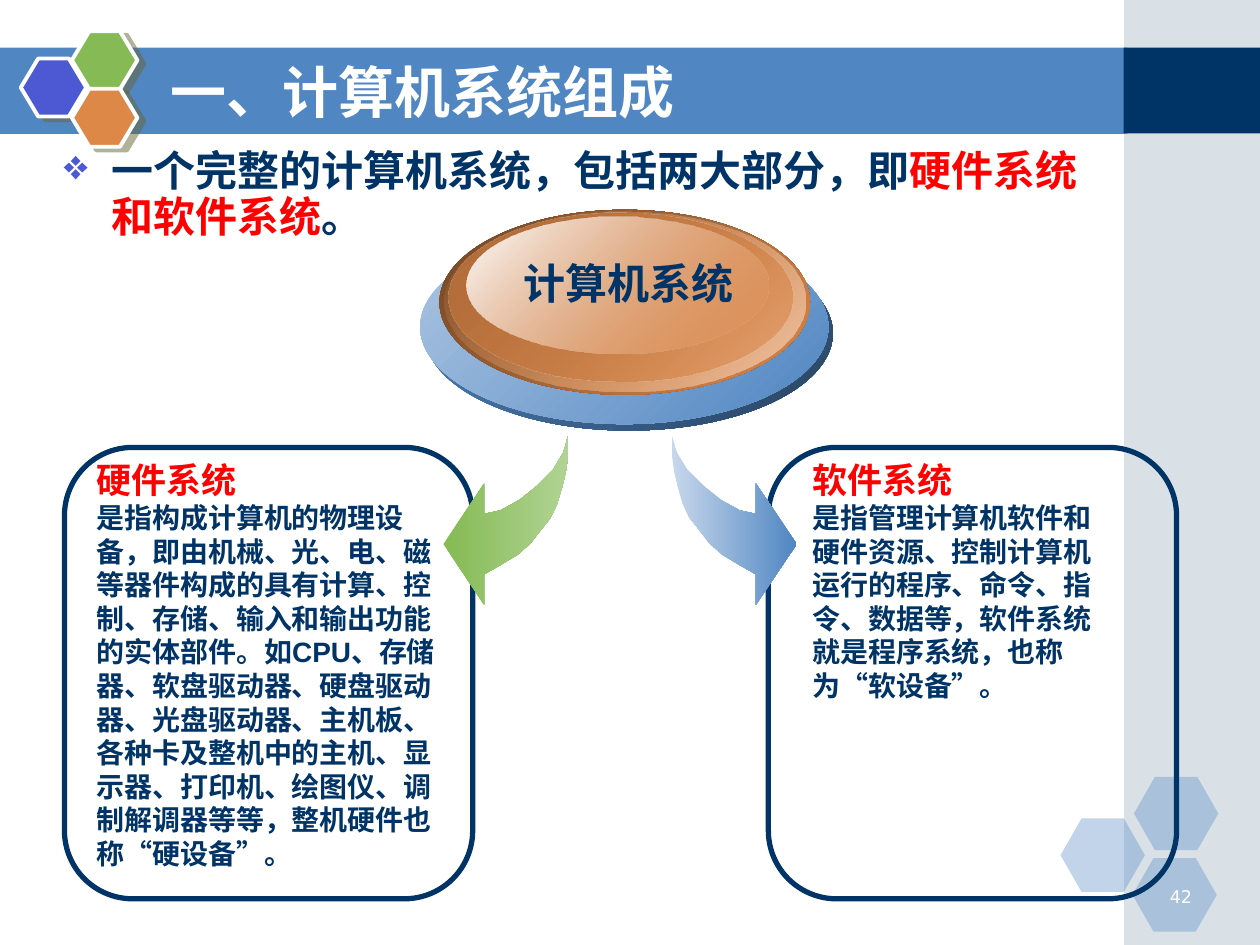
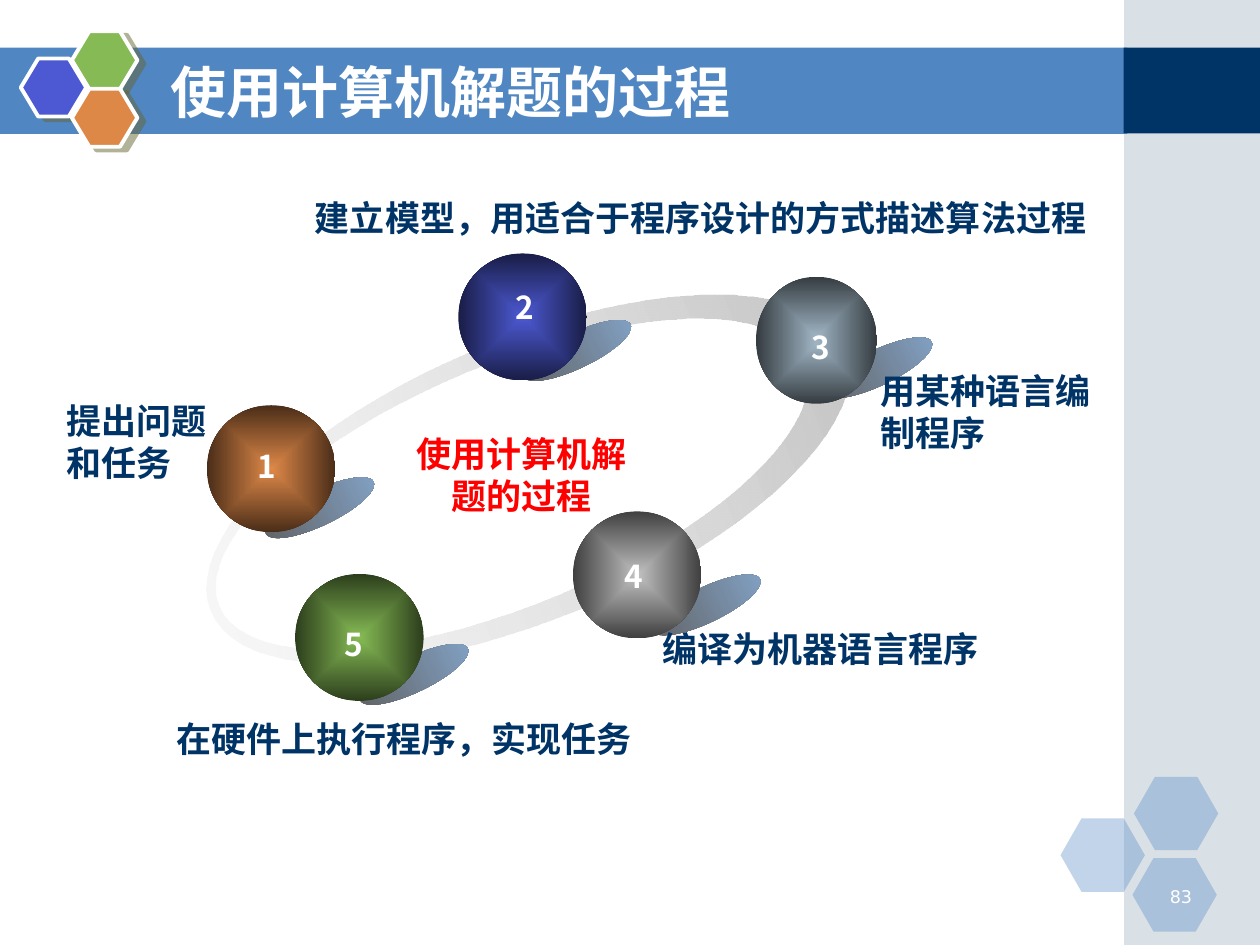
import math

import pptx
import pptx.dml.color
import pptx.enum.shapes
import pptx.enum.text
import pptx.oxml.ns
import pptx.util
from lxml import etree

Cm, Pt = pptx.util.Cm, pptx.util.Pt
RGB = pptx.dml.color.RGBColor
SHAPE = pptx.enum.shapes.MSO_SHAPE
ALIGN = pptx.enum.text.PP_ALIGN
ANCHOR = pptx.enum.text.MSO_ANCHOR
qn = pptx.oxml.ns.qn

WHITE = RGB(0xFF, 0xFF, 0xFF)
NAVY = RGB(0x00, 0x33, 0x66)
BLUE = RGB(0x50, 0x86, 0xC2)
PALE_BLUE = RGB(0xC8, 0xD8, 0xEC)
MIST_BLUE = RGB(0xAC, 0xC5, 0xE2)
DEEP_BLUE = RGB(0x28, 0x43, 0x61)
SHADOW_BLUE = RGB(0x84, 0xA5, 0xCA)
STEEL = RGB(0xA0, 0xB5, 0xC4)
INDIGO = RGB(0x4C, 0x59, 0xD2)
GREEN = RGB(0x85, 0xBA, 0x54)
PALE_GREEN = RGB(0xB0, 0xD3, 0x92)
ORANGE = RGB(0xDE, 0x88, 0x48)
BROWN = RGB(0x6F, 0x44, 0x24)
COPPER = RGB(0xB2, 0x6D, 0x3A)
PEACH = RGB(0xEE, 0xC6, 0xA8)
RED = RGB(0xFF, 0x00, 0x00)
SILVER = RGB(0xC0, 0xC0, 0xC0)
PALE_GREY = RGB(0xEE, 0xEE, 0xEE)
DARK_GREY = RGB(0x5F, 0x5F, 0x5F)
OLIVE = RGB(0x66, 0x66, 0x33)

CJK = "Noto Sans CJK SC"
LATIN = "Arial"


def sub(parent, tag, **attrs):
    return etree.SubElement(parent, qn(tag), {k: str(v) for k, v in attrs.items()})


def plain(shape, fill=None, alpha=100, line=None, weight=0):
    """Replace the default look with a flat fill and an optional outline."""
    shape.shadow.inherit = False
    if fill is None:
        shape.fill.background()
    else:
        shape.fill.solid()
        shape.fill.fore_color.rgb = fill
        if alpha < 100:
            solid = shape._element.spPr.find(qn("a:solidFill"))
            sub(solid[0], "a:alpha", val=alpha * 1000)
    if line is None:
        shape.line.fill.background()
    else:
        shape.line.color.rgb = line
        shape.line.width = Pt(weight)
    return shape


def add_shape(s, kind, box, adjust=None, **look):
    shape = s.shapes.add_shape(kind, *map(Cm, box))
    if adjust is not None:
        shape.adjustments[0] = adjust
    return plain(shape, **look)


def add_outline(s, *contours):
    """Closed freeform; each contour is a list of (x, y) in centimetres."""
    contours = [[(Cm(x), Cm(y)) for x, y in points] for points in contours]
    builder = s.shapes.build_freeform(*contours[0][0], scale=1.0)
    builder.add_line_segments(contours[0][1:], close=True)
    for points in contours[1:]:
        builder.move_to(*points[0])
        builder.add_line_segments(points[1:], close=True)
    return plain(builder.convert_to_shape())


def shade(shape, start, end, angle=0, alphas=(100, 100)):
    """Linear gradient, angle clockwise in degrees."""
    shape.fill.gradient()
    grad = shape._element.spPr.find(qn("a:gradFill"))
    for stop, color in zip(shape.fill.gradient_stops, (start, end)):
        stop.color.rgb = color
    for node, alpha in zip(grad.iter(qn("a:srgbClr")), alphas):
        if alpha < 100:
            sub(node, "a:alpha", val=alpha * 1000)
    grad.find(qn("a:lin")).set("ang", str(angle * 60000))
    return grad


def shade_ball(shape, color):
    """Gradient from the centre to a darker edge of the same colour."""
    grad = shade(shape, color, color)
    edge = list(grad.iter(qn("a:srgbClr")))[-1]
    sub(edge, "a:shade", val=8000)
    grad.remove(grad.find(qn("a:lin")))
    ring = sub(grad, "a:path", path="shape")
    sub(ring, "a:fillToRect", l=50000, t=50000, r=50000, b=50000)


def add_drop_shadow(shape):
    effects = shape._element.spPr.find(qn("a:effectLst"))
    shadow = sub(effects, "a:outerShdw", dist=Pt(4.5), dir=27 * 60000,
                 algn="ctr", rotWithShape=0)
    color = sub(shadow, "a:srgbClr", val=OLIVE)
    sub(color, "a:alpha", val=50000)


def add_bullet(p, char, color, indent):
    pPr = p._p.get_or_add_pPr()
    pPr.set("marL", str(indent))
    pPr.set("indent", str(-indent))
    sub(sub(pPr, "a:buClr"), "a:srgbClr", val=color)
    sub(pPr, "a:buFont", typeface="OpenSymbol")
    sub(pPr, "a:buChar", char=char)


def add_text(s, box, *paragraphs, size=20, color=NAVY, font=CJK, bold=True,
             align=ALIGN.LEFT, anchor=ANCHOR.TOP, leading=1.2, bullet=None):
    """Each paragraph is a string or a list of (text, {size, color}) runs."""
    tb = s.shapes.add_textbox(*map(Cm, box))
    tf = tb.text_frame
    tf.word_wrap = True
    tf.vertical_anchor = anchor
    for i, runs in enumerate(paragraphs):
        if isinstance(runs, str):
            runs = [(runs, {})]
        p = tf.paragraphs[0] if i == 0 else tf.add_paragraph()
        if bullet:
            add_bullet(p, bullet, INDIGO, Cm(0.95))
        p._p.get_or_add_pPr().set("hangingPunct", "0")
        p.alignment = align
        p.line_spacing = Pt(runs[0][1].get("size", size) * leading)
        for text, own in runs:
            r = p.add_run()
            r.text = text
            r.font.size = Pt(own.get("size", size))
            r.font.bold = bold
            r.font.name = font
            r.font.color.rgb = own.get("color", color)
            sub(r._r.get_or_add_rPr(), "a:ea", typeface=CJK)
    return tb


def add_slide(prs, title, number):
    """Blank slide with the shared bands, hexagons, title and page number."""
    s = prs.slides.add_slide(prs.slide_layouts[6])
    add_shape(s, SHAPE.RECTANGLE, (0, 0.96, 22.73, 1.74), fill=BLUE)
    add_shape(s, SHAPE.RECTANGLE, (22.66, 0, 2.74, 19.05), fill=STEEL, alpha=40)
    add_shape(s, SHAPE.RECTANGLE, (22.65, 0.96, 2.75, 1.73), fill=NAVY)
    for x, y in ((21.38, 16.5), (22.86, 15.66), (22.83, 17.3)):
        add_shape(s, SHAPE.HEXAGON, (x, y, 1.7, 1.48), 0.286, fill=BLUE, alpha=35)
    for x, y, color in ((0.42, 1.18, INDIGO), (1.45, 0.63, GREEN), (1.45, 1.79, ORANGE)):
        cell = add_shape(s, SHAPE.HEXAGON, (x, y, 1.32, 1.17), 0.3,
                         fill=color, line=WHITE, weight=2.25)
        add_drop_shadow(cell)
    add_text(s, (23.01, 17.73, 1.27, 0.64), str(number), size=10, color=WHITE,
             font="DejaVu Sans", bold=False, align=ALIGN.RIGHT)
    add_text(s, (3.18, 1.05, 18.62, 1.57), title, size=32, color=WHITE,
             anchor=ANCHOR.MIDDLE)
    return s


def add_part(s, frame_x, text_box, heading, body):
    add_shape(s, SHAPE.ROUNDED_RECTANGLE, (frame_x, 9.02, 8.23, 9.1), 0.167,
              line=NAVY, weight=3)
    add_text(s, text_box, [(heading, {"size": 20, "color": RED})], body,
             size=16, font=LATIN)


def add_curved_arrow(s, side, start, end):
    """Arrow bending away from the middle axis; side is -1 (left) or 1 (right)."""
    axis = 12.5
    half = [(1.04, 8.76), (1.04, 9.14), (1.09, 9.5), (1.17, 9.83), (1.27, 10.16),
            (1.4, 10.44), (1.6, 10.69), (1.8, 10.95), (2.06, 11.18), (2.39, 11.38),
            (2.74, 11.58), (2.74, 12.19), (3.56, 10.97), (2.74, 9.75), (2.74, 10.36),
            (2.41, 10.29), (2.03, 10.08), (1.68, 9.8), (1.35, 9.47), (1.14, 9.12)]
    shade(add_outline(s, [(axis + side * x, y) for x, y in half]), start, end)


def add_disc(s):
    layers = [
        ((8.56, 4.76, 8.23, 3.92), BLUE, DEEP_BLUE, (100, 100)),
        ((8.47, 4.63, 8.23, 3.92), MIST_BLUE, BLUE, (100, 100)),
        ((8.86, 4.23, 7.47, 3.73), BROWN, ORANGE, (100, 100)),
        ((8.97, 4.27, 7.26, 3.63), ORANGE, PEACH, (0, 100)),
        ((9.04, 4.29, 6.93, 3.4), COPPER, ORANGE, (100, 48)),
        ((9.4, 4.37, 6.1, 2.75), WHITE, ORANGE, (100, 38)),
    ]
    for box, start, end, alphas in layers:
        shade(add_shape(s, SHAPE.OVAL, box), start, end, 45, alphas)
    add_text(s, (10.29, 5.15, 4.78, 1.17), "计算机系统", size=24, font=LATIN,
             align=ALIGN.CENTER, leading=1.1)


def ellipse_points(cx, cy, rx, ry, direction=1, count=80):
    angles = [direction * 2 * math.pi * i / count for i in range(count)]
    return [(cx + rx * math.cos(a), cy + ry * math.sin(a)) for a in angles]


def add_orbit(s):
    """Tilted ring, thicker on the right."""
    ring = add_outline(s, ellipse_points(10.65, 9.66, 6.92, 2.81),
                       ellipse_points(10.31, 9.62, 6.38, 2.42, -1))
    ring.rotation = -22.6
    shade(ring, PALE_GREY, SILVER, alphas=(36, 100))


def build_composition(prs):
    s = add_slide(prs, "一、计算机系统组成", 42)
    add_text(s, (1.04, 2.87, 21.67, 14.58),
             [("一个完整的计算机系统，包括两大部分，即", {}),
              ("硬件系统和软件系统", {"color": RED}), ("。", {})],
             size=24, leading=1.1, bullet="❖")
    add_part(s, 1.3, (1.7, 9.12, 7.39, 8.59), "硬件系统",
             "是指构成计算机的物理设备，即由机械、光、电、磁等器件构成的具有计算、控制、"
             "存储、输入和输出功能的实体部件。如CPU、存储器、软盘驱动器、硬盘驱动器、"
             "光盘驱动器、主机板、各种卡及整机中的主机、显示器、打印机、绘图仪、"
             "调制解调器等等，整机硬件也称“硬设备”。")
    add_part(s, 15.49, (16.13, 9.12, 6.55, 5.18), "软件系统",
             "是指管理计算机软件和硬件资源、控制计算机运行的程序、命令、指令、数据等，"
             "软件系统就是程序系统，也称为“软设备”。")
    add_curved_arrow(s, -1, GREEN, PALE_GREEN)
    add_curved_arrow(s, 1, PALE_BLUE, BLUE)
    add_disc(s)


def build_process(prs):
    s = add_slide(prs, "使用计算机解题的过程", 83)
    add_orbit(s)
    # ball colour, ball box, shadow corner, number corner, label box, label
    steps = [
        (ORANGE, (4.17, 8.17, 2.59, 2.56), (5.24, 9.88), (4.95, 8.89),
         (1.09, 7.92, 3.61, 1.96), "提出问题和任务"),
        (INDIGO, (9.24, 5.11, 2.59, 2.56), (10.42, 6.71), (10.15, 5.69),
         (6.1, 3.84, 18.19, 1.09), "建立模型，用适合于程序设计的方式描述算法过程"),
        (STEEL, (15.24, 5.58, 2.44, 2.56), (16.49, 7.06), (16.1, 6.48),
         (17.5, 7.32, 4.8, 1.96), "用某种语言编制程序"),
        (SILVER, (11.55, 10.31, 2.59, 2.56), (13.03, 11.84), (12.34, 11.1),
         (13.11, 12.52, 6.91, 1.09), "编译为机器语言程序"),
        (GREEN, (5.95, 11.57, 2.59, 2.56), (7.14, 13.24), (6.69, 12.47),
         (3.3, 14.33, 9.75, 1.09), "在硬件上执行程序，实现任务"),
    ]
    for _, _, corner, *_ in steps:
        shadow = add_shape(s, SHAPE.OVAL, (*corner, 2.41, 0.71))
        shadow.rotation = -25.7
        shade(shadow, DARK_GREY, SHADOW_BLUE)
    for number, (color, ball, _, corner, label_box, label) in enumerate(steps, 1):
        shade_ball(add_shape(s, SHAPE.OVAL, ball), color)
        add_text(s, (*corner, 0.84, 1.02), str(number), size=18, color=WHITE)
        add_text(s, label_box, label)
    add_text(s, (7.9, 8.59, 5.23, 1.96), "使用计算机解题的过程", color=RED,
             align=ALIGN.CENTER)


def main():
    prs = pptx.Presentation()
    prs.slide_width, prs.slide_height = Cm(25.4), Cm(19.05)
    build_composition(prs)
    build_process(prs)
    prs.save("out.pptx")


if __name__ == "__main__":
    main()
